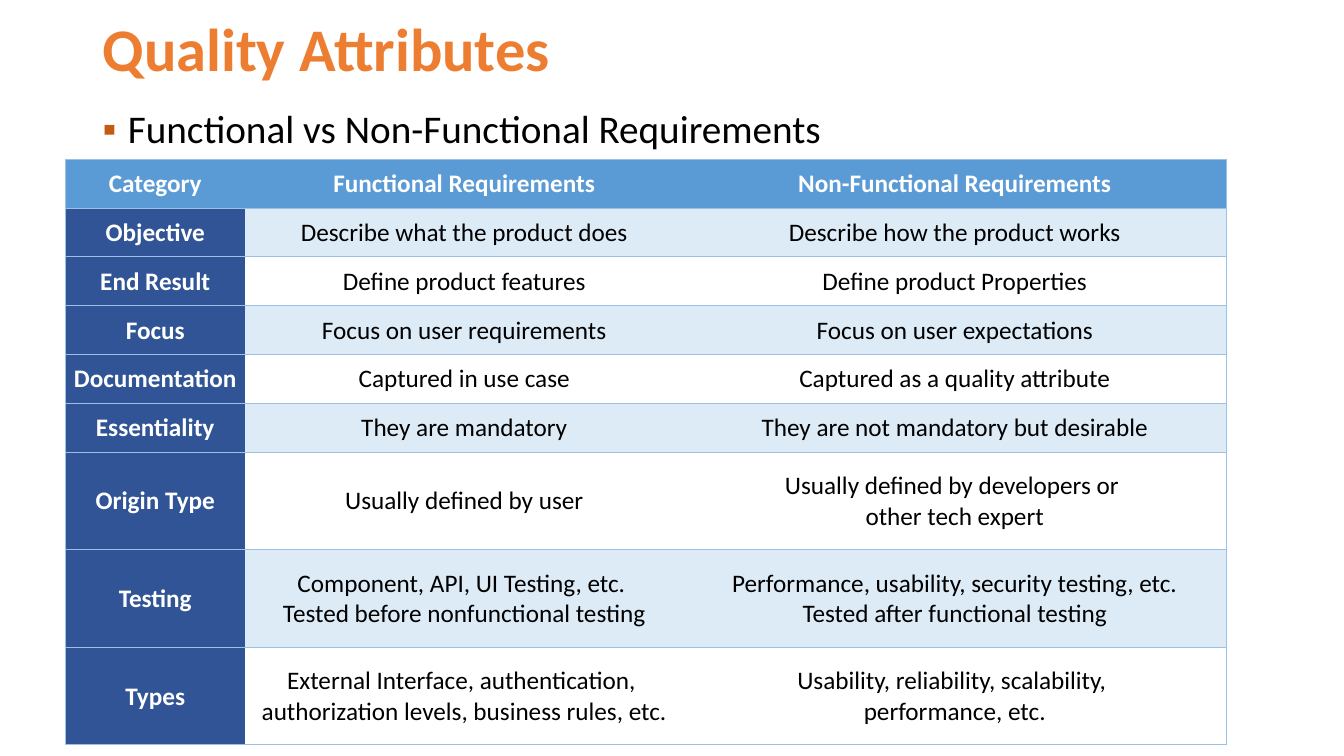
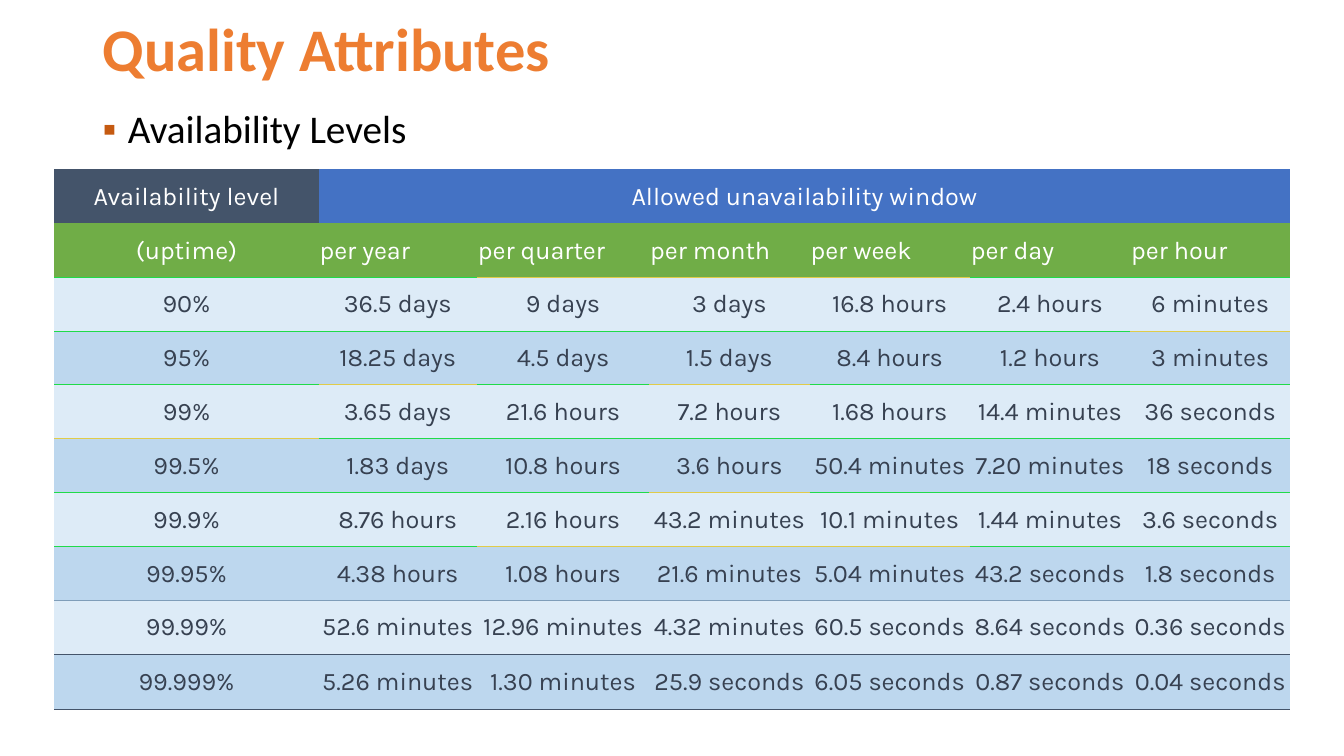
from lxml.etree import SubElement
from pptx import Presentation
from pptx.dml.color import RGBColor
from pptx.enum.text import MSO_ANCHOR, PP_ALIGN
from pptx.oxml.ns import qn
from pptx.util import Inches, Pt

# Shared look
WIDTH, HEIGHT = 13.33, 7.5
MARGIN, CONTENT_WIDTH = 0.92, 11.5
FONT, TABLE_FONT = "Calibri", "Karla"
ORANGE, BULLET, BLACK, WHITE = "ED7D31", "C55A11", "000000", "FFFFFF"
PALE, LIGHT = "DDEBF7", "BDD7EE"
HEADER, CATEGORY, GRID = "5B9BD5", "305496", "9BC2E6"
SLATE, BLUE, GREEN, INK = "44546A", "4472C4", "70AD47", "374151"
RULES = {"G": "20DB49", "Y": "E0CC49", "S": "7F9DB9", "D": SLATE, "-": None}
NO_STYLE = "{2D5ABB26-0587-4C30-8999-92F81FD0307C}"

REQUIREMENTS = [
    ("Category", "Functional Requirements", "Non-Functional Requirements"),
    ("Objective", "Describe what the product does", "Describe how the product works"),
    ("End Result", "Define product features", "Define product Properties"),
    ("Focus", "Focus on user requirements", "Focus on user expectations"),
    ("Documentation", "Captured in use case", "Captured as a quality attribute"),
    ("Essentiality", "They are mandatory", "They are not mandatory but desirable"),
    ("Origin Type", "Usually defined by user",
     "Usually defined by developers or \nother tech expert"),
    ("Testing", "Component, API, UI Testing, etc. \nTested before nonfunctional testing",
     "Performance, usability, security testing, etc.\nTested after functional testing"),
    ("Types", "External Interface, authentication, \nauthorization levels, business rules, etc.",
     "Usability, reliability, scalability, \nperformance, etc."),
]

AVAILABILITY = [
    ("Availability level", "Allowed unavailability window"),
    ("(uptime)", "per year", "per quarter", "per month", "per week", "per day", "per hour"),
    ("90%", "36.5 days", "9 days", "3 days", "16.8 hours", "2.4 hours", "6 minutes"),
    ("95%", "18.25 days", "4.5 days", "1.5 days", "8.4 hours", "1.2 hours", "3 minutes"),
    ("99%", "3.65 days", "21.6 hours", "7.2 hours", "1.68 hours", "14.4 minutes", "36 seconds"),
    ("99.5%", "1.83 days", "10.8 hours", "3.6 hours", "50.4 minutes", "7.20 minutes",
     "18 seconds"),
    ("99.9%", "8.76 hours", "2.16 hours", "43.2 minutes", "10.1 minutes", "1.44 minutes",
     "3.6 seconds"),
    ("99.95%", "4.38 hours", "1.08 hours", "21.6 minutes", "5.04 minutes", "43.2 seconds",
     "1.8 seconds"),
    ("99.99%", "52.6 minutes", "12.96 minutes", "4.32 minutes", "60.5 seconds",
     "8.64 seconds", "0.36 seconds"),
    ("99.999%", "5.26 minutes", "1.30 minutes", "25.9 seconds", "6.05 seconds",
     "0.87 seconds", "0.04 seconds"),
]
# One letter per column for the rule above each row, then the closing rule
AVAILABILITY_RULES = ["-------", "-------", "GGYYYGG", "GGGGGGY", "GYGYGGG", "YGGGGGG",
                      "GGGYGGG", "GGYYYGG", "SSSSSSS", "DDDDDDD", "DDDDDDD"]


def color(value):
    return RGBColor.from_string(value)


def add_runs(paragraph, text, size, font, text_color, bold=False):
    """Add one run per line, with line breaks between them."""
    for index, line in enumerate(text.split("\n")):
        if index:
            paragraph.add_line_break()
        run = paragraph.add_run()
        run.text = line
        run.font.size, run.font.name, run.font.bold = Pt(size), font, bold
        run.font.color.rgb = color(text_color)


def add_text(slide, top, height, text, size, text_color, bold=False, anchor=MSO_ANCHOR.TOP):
    box = slide.shapes.add_textbox(Inches(MARGIN), Inches(top),
                                   Inches(CONTENT_WIDTH), Inches(height))
    frame = box.text_frame
    frame.word_wrap = True
    frame.vertical_anchor = anchor
    paragraph = frame.paragraphs[0]
    paragraph.line_spacing = 0.9
    add_runs(paragraph, text, size, FONT, text_color, bold)
    return paragraph


def add_bullet(paragraph):
    properties = paragraph._p.get_or_add_pPr()
    properties.set("marL", str(Inches(0.25)))
    properties.set("indent", str(-Inches(0.25)))
    bullet_color = SubElement(properties, qn("a:buClr"))
    SubElement(bullet_color, qn("a:srgbClr"), val=BULLET)
    SubElement(properties, qn("a:buFont"), typeface="Arial")
    SubElement(properties, qn("a:buChar"), char="▪")


def add_content_slide(presentation, heading):
    slide = presentation.slides.add_slide(presentation.slide_layouts[6])
    add_text(slide, 0.15, 0.74, "Quality Attributes", 43.2, ORANGE, True, MSO_ANCHOR.MIDDLE)
    add_bullet(add_text(slide, 1.04, 5.4, heading, 28, BLACK))
    return slide


def add_border(cell, side, line_color, width=0.5):
    if line_color:
        line = SubElement(cell._tc.get_or_add_tcPr(), qn("a:ln" + side), w=str(Pt(width)))
        fill = SubElement(line, qn("a:solidFill"))
        SubElement(fill, qn("a:srgbClr"), val=line_color)


def add_grid(slide, left, top, columns, row_unit, row_weights):
    """Add an unstyled table whose rows are multiples of one unit."""
    heights = [row_unit * weight for weight in row_weights]
    table = slide.shapes.add_table(len(heights), len(columns), Inches(left), Inches(top),
                                   Inches(sum(columns)), Inches(sum(heights))).table
    table._tbl.tblPr.find(qn("a:tableStyleId")).text = NO_STYLE
    table.first_row = table.horz_banding = False
    for column, width in zip(table.columns, columns):
        column.width = Inches(width)
    for row, height in zip(table.rows, heights):
        row.height = Inches(height)
    return table


def fill_cell(cell, text, fill, font, text_color, bold=False, align=PP_ALIGN.CENTER):
    cell.margin_left = cell.margin_right = cell.margin_top = Inches(0.01)
    cell.margin_bottom = 0
    cell.vertical_anchor = MSO_ANCHOR.MIDDLE
    if fill:
        cell.fill.solid()
        cell.fill.fore_color.rgb = color(fill)
    else:
        cell.fill.background()
    paragraph = cell.text_frame.paragraphs[0]
    paragraph.alignment = align
    add_runs(paragraph, text, 18, font, text_color, bold)


def add_requirements(slide):
    table = add_grid(slide, 0.65, 1.58, [1.78, 4.35, 5.38], 5.81 / 12, [1] * 6 + [2] * 3)
    for row, texts in enumerate(REQUIREMENTS):
        for column, text in enumerate(texts):
            cell = table.cell(row, column)
            # Outer sides, then the rules between rows
            add_border(cell, "L", GRID if column == 0 else None)
            add_border(cell, "R", GRID if column == 2 else None)
            add_border(cell, "T", GRID)
            add_border(cell, "B", GRID)
            heading = row == 0 or column == 0
            if heading:
                fill = CATEGORY if row else HEADER
            else:
                fill = PALE if row % 2 else None
            fill_cell(cell, text, fill, FONT, WHITE if heading else BLACK, heading)


def add_availability(slide):
    table = add_grid(slide, 0.54, 1.68, [2.62, 1.57, 1.71] + [1.59] * 4, 0.54, [0.99] * 9 + [1.02])
    table.cell(0, 1).merge(table.cell(0, 6))
    last = len(AVAILABILITY) - 1
    for row, texts in enumerate(AVAILABILITY):
        for column, text in enumerate(texts):
            cell = table.cell(row, column)
            add_border(cell, "T", RULES[AVAILABILITY_RULES[row][column]])
            add_border(cell, "B", RULES[AVAILABILITY_RULES[row + 1][column]],
                       1 if row == last else 0.5)
            if row == 0:
                fill = BLUE if column else SLATE
            elif row == 1:
                fill = GREEN
            else:
                fill = LIGHT if row % 2 else PALE
            align = PP_ALIGN.LEFT if row == 1 and column else PP_ALIGN.CENTER
            fill_cell(cell, text, fill, TABLE_FONT, INK if row > 1 else WHITE, align=align)


def main():
    presentation = Presentation()
    presentation.slide_width, presentation.slide_height = Inches(WIDTH), Inches(HEIGHT)
    add_requirements(add_content_slide(presentation, "Functional vs Non-Functional Requirements"))
    add_availability(add_content_slide(presentation, "Availability Levels"))
    presentation.save("out.pptx")


if __name__ == "__main__":
    main()
